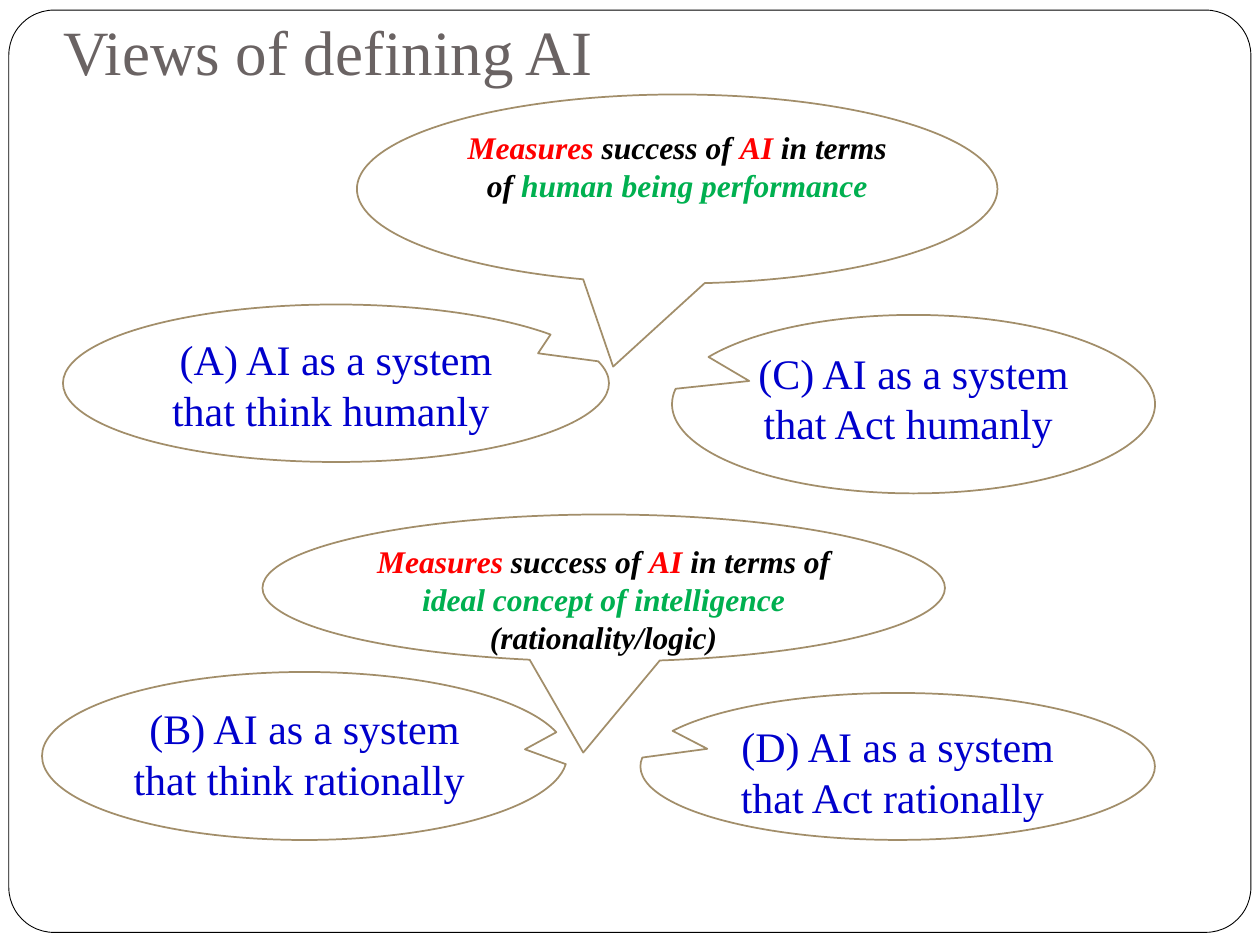
import pptx
import pptx.util
import pptx.dml.color
import pptx.enum.shapes
import pptx.enum.text

SHAPE = pptx.enum.shapes.MSO_SHAPE
ALIGN = pptx.enum.text.PP_ALIGN
ANCHOR = pptx.enum.text.MSO_ANCHOR
W, H = 10, 7.5
COLS, ROWS = 120, 90  # grid of 1/12 inch cells

FONT = "Times New Roman"
WHITE, BLACK, GREY = "FFFFFF", "000000", "6A6363"
TAN, BLUE, RED, GREEN = "A28E6A", "0000CC", "FF0000", "00B050"


def rgb(value):
    return pptx.dml.color.RGBColor.from_string(value)


def place(sp, col, row, cols, rows):
    """Put a shape on the grid."""
    cell_w, cell_h = W / COLS, H / ROWS
    sp.left, sp.width = (pptx.util.Inches(n * cell_w) for n in (col, cols))
    sp.top, sp.height = (pptx.util.Inches(n * cell_h) for n in (row, rows))


def add_run(p, text, size=24, color=BLUE, bold=False, italic=False):
    r = p.add_run()
    r.text = text
    r.font.name = FONT
    r.font.size = pptx.util.Pt(size)
    r.font.bold, r.font.italic = bold, italic
    r.font.color.rgb = rgb(color)


def add_outline(s, kind, grid, adjustments, line, width):
    """Add a white shape with a thin outline."""
    sp = s.shapes.add_shape(kind, 0, 0, 0, 0)
    place(sp, *grid)
    for i, value in enumerate(adjustments):
        sp.adjustments[i] = value
    sp.shadow.inherit = False
    sp.fill.solid()
    sp.fill.fore_color.rgb = rgb(WHITE)
    sp.line.color.rgb = rgb(line)
    sp.line.width = pptx.util.Pt(width)
    return sp


def add_callout(s, grid, tip):
    """Add a speech balloon and return its centred paragraph."""
    sp = add_outline(s, SHAPE.OVAL_CALLOUT, grid, tip, TAN, 1)
    tf = sp.text_frame
    tf.word_wrap = True
    tf.vertical_anchor = ANCHOR.TOP
    p = tf.paragraphs[0]
    p.alignment = ALIGN.CENTER
    return p


def add_view(s, text, grid, tip):
    add_run(add_callout(s, grid, tip), text)


def add_measure(s, parts, grid, tip):
    p = add_callout(s, grid, tip)
    for text, color in parts:
        add_run(p, text, size=18, color=color, bold=True, italic=True)


def add_frame(s):
    """Add the rounded page border behind everything else."""
    sp = add_outline(s, SHAPE.ROUNDED_RECTANGLE, (0.84, 0.96, 118.3, 87.84),
                     [0.049], BLACK, 0.5)
    s.shapes._spTree.insert(2, sp._element)


def set_title(s, text):
    sp = s.shapes.title
    place(sp, 6, 0, 108, 8.4)
    tf = sp.text_frame
    tf.word_wrap = True
    tf.auto_size = pptx.enum.text.MSO_AUTO_SIZE.NONE
    tf.vertical_anchor = ANCHOR.BOTTOM
    tf.margin_left = tf.margin_right = tf.margin_bottom = 0
    tf.margin_top = pptx.util.Inches(0.05)
    p = tf.paragraphs[0]
    p.alignment = ALIGN.LEFT
    add_run(p, text, size=36, color=GREY)


def main():
    prs = pptx.Presentation()
    prs.slide_width = pptx.util.Inches(W)
    prs.slide_height = pptx.util.Inches(H)
    s = prs.slides.add_slide(prs.slide_layouts[5])

    # Title and border
    add_frame(s)
    set_title(s, "Views of defining AI")

    # The four views
    add_view(s, "(A) AI as a system that think humanly ",
             (6, 29, 52, 15), (0.37, -0.19))
    add_view(s, "(C) AI as a system that Act humanly ",
             (64, 30, 46, 17), (-0.34, -0.13))
    add_view(s, "(B) AI as a system that think rationally ",
             (4, 64, 50, 16), (0.42, -0.04))
    add_view(s, "(D) AI as a system that Act rationally ",
             (61, 66, 49, 14), (-0.37, -0.12))

    # What each pair is measured against
    opening = [("Measures ", RED), ("success of ", BLACK),
               ("AI ", RED), ("in terms of ", BLACK)]
    add_measure(s, opening + [("human being performance", GREEN)],
                (34, 9, 61, 18), (-0.1, 0.94))
    add_measure(s, opening + [("ideal concept of intelligence ", GREEN),
                              ("(rationality/logic)", BLACK)],
                (25, 49, 65, 14), (-0.03, 1.12))

    prs.save("out.pptx")


if __name__ == "__main__":
    main()
